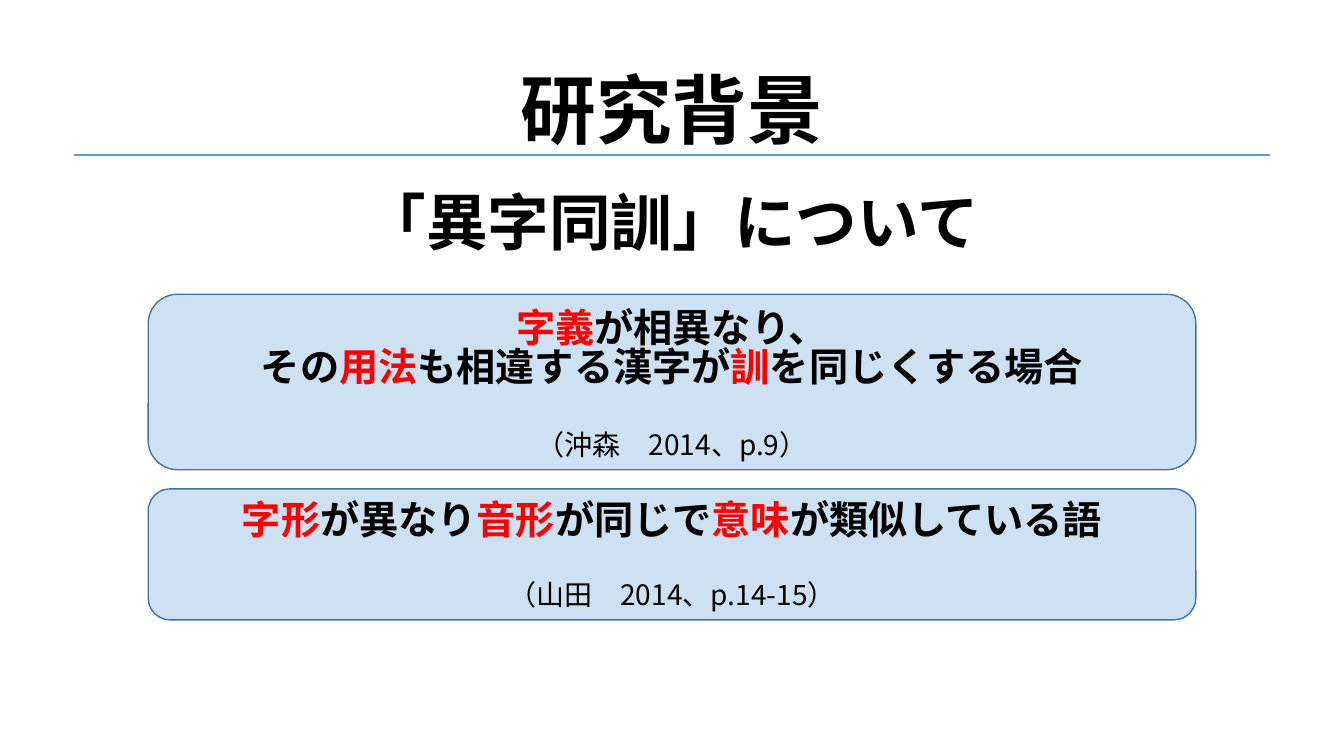
import dataclasses

import pptx
import pptx.dml.color
import pptx.enum.shapes
import pptx.enum.text
import pptx.oxml.ns
import pptx.oxml.xmlchemy
import pptx.util
from lxml import etree

Inches = pptx.util.Inches
Color = pptx.dml.color.RGBColor
Anchor = pptx.enum.text.MSO_ANCHOR
Kind = pptx.enum.shapes.MSO_SHAPE
qn = pptx.oxml.ns.qn

BLACK = Color(0x00, 0x00, 0x00)
RED = Color(0xFF, 0x00, 0x00)
BLUE = Color(0x5B, 0x9B, 0xD5)
PALE = Color(0xBD, 0xD7, 0xEE)
EDGE = Color(0x43, 0x73, 0x9E)
FONT = "Noto Sans CJK JP"
LEFT, WIDTH = 0.73, 11.87


@dataclasses.dataclass(frozen=True)
class Run:
    text: str
    color: Color = BLACK


@dataclasses.dataclass(frozen=True)
class Quote:
    top: float
    height: float
    lines: tuple[tuple[Run, ...], ...]
    source: str
    width: float


QUOTES = (
    Quote(2.92, 1.74, (
        (Run("字義", RED), Run("が相異なり、")),
        (Run("その"), Run("用法", RED), Run("も相違する漢字が"),
         Run("訓", RED), Run("を同じくする場合")),
    ), "（沖森　2014、p.9）", 3.18),
    Quote(4.85, 1.3, (
        (Run("字形", RED), Run("が異なり"), Run("音形", RED),
         Run("が同じで"), Run("意味", RED), Run("が類似している語")),
    ), "（山田　2014、p.14-15）", 3.9),
)


def place(shape, left: float, top: float, width: float, height: float) -> None:
    shape.left, shape.top = Inches(left), Inches(top)
    shape.width, shape.height = Inches(width), Inches(height)


def write(shape, lines: tuple[tuple[Run, ...], ...], size: int, bold: bool,
          anchor: Anchor, inset: float = 0.05, base: float = 0.05,
          space: float = 1.0) -> None:
    frame = shape.text_frame
    frame.word_wrap = True
    frame.auto_size = pptx.enum.text.MSO_AUTO_SIZE.NONE
    frame.vertical_anchor = anchor
    frame.margin_top, frame.margin_bottom = Inches(inset), Inches(base)
    para = frame.paragraphs[0]
    para.alignment = pptx.enum.text.PP_ALIGN.CENTER
    para.line_spacing = space
    para.space_before = pptx.util.Pt(0)
    for index, line in enumerate(lines):
        if index:
            para.add_line_break()
        for part in line:
            run = para.add_run()
            run.text = part.text
            font = run.font
            font.size, font.bold = pptx.util.Pt(size), bold
            font.color.rgb = part.color
            font.name = FONT
            latin = font._element.find(qn("a:latin"))
            east = etree.Element(qn("a:ea"), typeface=FONT)
            latin.addnext(east)


def head(slide) -> None:
    title, body = slide.shapes.title, slide.placeholders[1]
    place(title, LEFT, 0.55, WIDTH, 0.97)
    write(title, ((Run("研究背景"),),), 54, True, Anchor.BOTTOM, base=0)
    place(body, LEFT, 1.72, WIDTH, 1.01)
    props = body.text_frame.paragraphs[0]._p.get_or_add_pPr()
    props.set("marL", "0")
    props.set("indent", "0")
    etree.SubElement(props, qn("a:buNone"))
    write(body, ((Run("「異字同訓」について"),),), 44, True, Anchor.TOP, inset=0.1)


def rule(slide) -> None:
    line = slide.shapes.add_connector(
        pptx.enum.shapes.MSO_CONNECTOR.STRAIGHT,
        Inches(LEFT), Inches(1.54), Inches(LEFT + WIDTH), Inches(1.54))
    line.line.color.rgb = BLUE
    line.line.width = pptx.util.Pt(1.5)
    etree.SubElement(line._element.spPr, qn("a:effectLst"))


def panel(slide, quote: Quote) -> None:
    left, width, depth = 1.47, 10.39, 0.56
    box = slide.shapes.add_shape(
        Kind.ROUNDED_RECTANGLE, Inches(left), Inches(quote.top),
        Inches(width), Inches(quote.height))
    box.shadow.inherit = False
    box.fill.solid()
    box.fill.fore_color.rgb = PALE
    tint = box._element.spPr.find(qn("a:solidFill"))[0]
    etree.SubElement(tint, qn("a:alpha"), val="75000")
    box.line.color.rgb = EDGE
    box.line.width = pptx.util.Pt(1)
    write(box, quote.lines, 28, True, Anchor.TOP, inset=0.08, space=0.83)
    note = slide.shapes.add_textbox(
        Inches(left + (width - quote.width) / 2),
        Inches(quote.top + quote.height - depth),
        Inches(quote.width), Inches(depth))
    write(note, ((Run(quote.source),),), 20, False, Anchor.MIDDLE, inset=0.11)


def main() -> None:
    deck = pptx.Presentation()
    deck.slide_width, deck.slide_height = Inches(13.33), Inches(7.5)
    slide = deck.slides.add_slide(deck.slide_layouts[1])
    head(slide)
    rule(slide)
    for quote in QUOTES:
        panel(slide, quote)
    deck.save("out.pptx")


if __name__ == "__main__":
    main()
